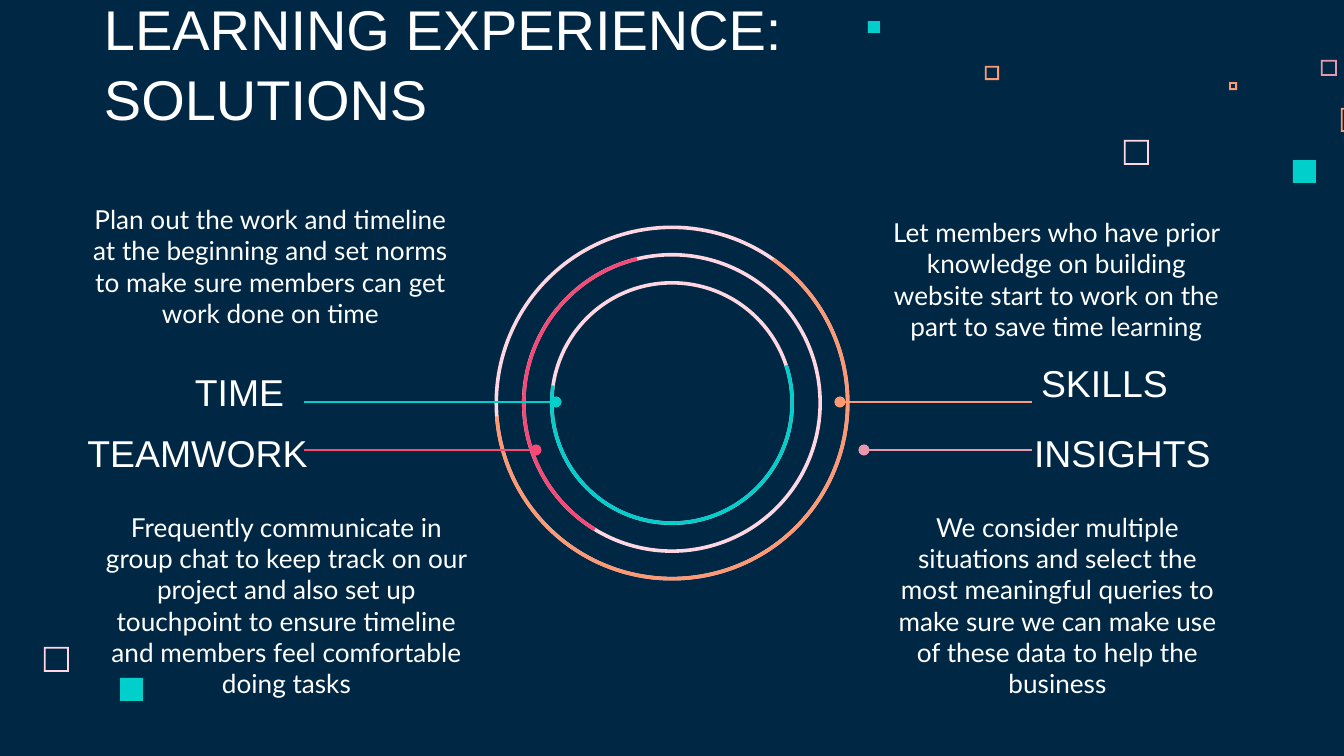
from pptx import Presentation
from pptx.dml.color import RGBColor
from pptx.enum.shapes import MSO_CONNECTOR, MSO_SHAPE
from pptx.enum.text import MSO_ANCHOR, PP_ALIGN
from pptx.oxml.ns import qn
from pptx.util import Emu, Pt
from lxml import etree

LINE = MSO_CONNECTOR.STRAIGHT
RECT, FRAME = MSO_SHAPE.RECTANGLE, MSO_SHAPE.FRAME
DONUT, ARC = MSO_SHAPE.DONUT, MSO_SHAPE.BLOCK_ARC
TOP, MID, BASE = MSO_ANCHOR.TOP, MSO_ANCHOR.MIDDLE, MSO_ANCHOR.BOTTOM
LEFT, CENTER = PP_ALIGN.LEFT, PP_ALIGN.CENTER

NAVY, WHITE, BLUSH, ROSE = "002845", "FFFFFF", "FFD6E1", "E898AC"
CORAL, TEAL, PINK = "FF9973", "00CFCC", "F64975"

SCALE = 9144000 / 1344
STROKE = 3.6  # ring thickness in px
MIDDLE = (672, 403)  # centre of the rings


def px(n):
    return Emu(round(n * SCALE))


def color(text):
    return RGBColor.from_string(text)


class Board:
    def __init__(self, deck):
        self.slide = deck.slides.add_slide(deck.slide_layouts[6])
        self.shapes = self.slide.shapes
        fill = self.slide.background.fill
        fill.solid()
        fill.fore_color.rgb = color(NAVY)

    def form(self, kind, box, fill, adjust=(), turn=0):
        shape = self.shapes.add_shape(kind, *map(px, box))
        shape.shadow.inherit = False
        shape.fill.solid()
        shape.fill.fore_color.rgb = color(fill)
        shape.line.fill.background()
        for i, value in enumerate(adjust):
            shape.adjustments[i] = value
        shape.rotation = turn

    def square(self, x, y, side, fill, hollow=True):
        if hollow:
            self.form(FRAME, (x, y, side, side), fill, [1.75 / side])
        else:
            self.form(RECT, (x, y, side, side), fill)

    def ring(self, size, fill, span=None, turn=0):
        """Draw a full ring, or an arc when span gives its angles in degrees."""
        x, y = (c - size / 2 for c in MIDDLE)
        # Angles are stored in 1/60000 degree, adjustments in 1/100000.
        angles = [a * 0.6 for a in span] if span else []
        self.form(ARC if span else DONUT, (x, y, size, size), fill,
                  angles + [STROKE / size], turn)

    def text(self, words, box, size=14, font="Lato", align=CENTER,
             anchor=TOP, space=1.0):
        frame = self.shapes.add_textbox(*map(px, box)).text_frame
        frame.word_wrap = True
        frame.vertical_anchor = anchor
        frame.margin_left = frame.margin_right = px(13)
        frame.margin_top = frame.margin_bottom = px(13)
        para = frame.paragraphs[0]
        para.alignment = align
        para.line_spacing = space
        run = para.add_run()
        run.text = words
        run.font.size = Pt(size)
        run.font.name = font
        run.font.color.rgb = color(WHITE)

    def link(self, start, end, y, tint):
        """Draw a level line that ends in a dot."""
        line = self.shapes.add_connector(LINE, px(start), px(y), px(end), px(y))
        line.line.color.rgb = color(tint)
        line.line.width = Pt(1.5)
        stroke = line.line._get_or_add_ln()
        etree.SubElement(stroke, qn("a:tailEnd"), type="oval")
        etree.SubElement(line._element.spPr, qn("a:effectLst"))


def main():
    deck = Presentation()
    deck.slide_width, deck.slide_height = px(1344), px(756)
    board = Board(deck)

    for x, y, side, fill in [
        (1124, 140, 25, BLUSH), (1321, 60, 16, ROSE), (1229, 82, 8, CORAL),
        (1341, 108, 24, CORAL), (985, 66, 14, CORAL), (44, 647, 25, BLUSH),
    ]:
        board.square(x, y, side, fill)
    for x, y, side in [(1293, 160, 23), (868, 21, 12), (120, 678, 23)]:
        board.square(x, y, side, TEAL, hollow=False)

    board.text("LEARNING EXPERIENCE: SOLUTIONS", (91, 60, 786, 85), size=30,
               font="Arial", align=LEFT, anchor=BASE, space=1.05)

    for words, x, y, anchor in [
        ("TIME", 101, 356, TOP), ("SKILLS", 966, 347, TOP),
        ("TEAMWORK", 59, 423, BASE), ("INSIGHTS", 984, 423, BASE),
    ]:
        board.text(words, (x, y, 277, 65), size=20, font="Arial", anchor=anchor)

    for words, box, anchor in [
        ("Plan out the work and timeline at the beginning and set norms "
         "to make sure members can get work done on time",
         (75, 178, 391, 176), MID),
        ("Let members who have prior knowledge on building website start "
         "to work on the part to save time learning",
         (879, 144, 355, 211), BASE),
        ("Frequently communicate in group chat to keep track on our project "
         "and also set up touchpoint to ensure timeline and members feel "
         "comfortable doing tasks", (91, 498, 391, 196), TOP),
        ("We consider multiple situations and select the most meaningful "
         "queries to make sure we can make use of these data to help the "
         "business", (880, 498, 355, 183), TOP),
    ]:
        board.text(words, box, anchor=anchor)

    arcs = [(355, CORAL, (305.2, 175.6), 0), (300, PINK, (40.2, 175.2), 81.2),
            (244, TEAL, (328.7, 175.2), 13.1)]
    for size, *_ in arcs:
        board.ring(size, BLUSH)
    for arc in arcs:
        board.ring(*arc)

    for start, end, y, tint in [
        (304, 556, 402, TEAL), (304, 536, 450, PINK),
        (1032, 840, 402, CORAL), (1032, 864, 450, ROSE),
    ]:
        board.link(start, end, y, tint)

    deck.save("out.pptx")


if __name__ == "__main__":
    main()
